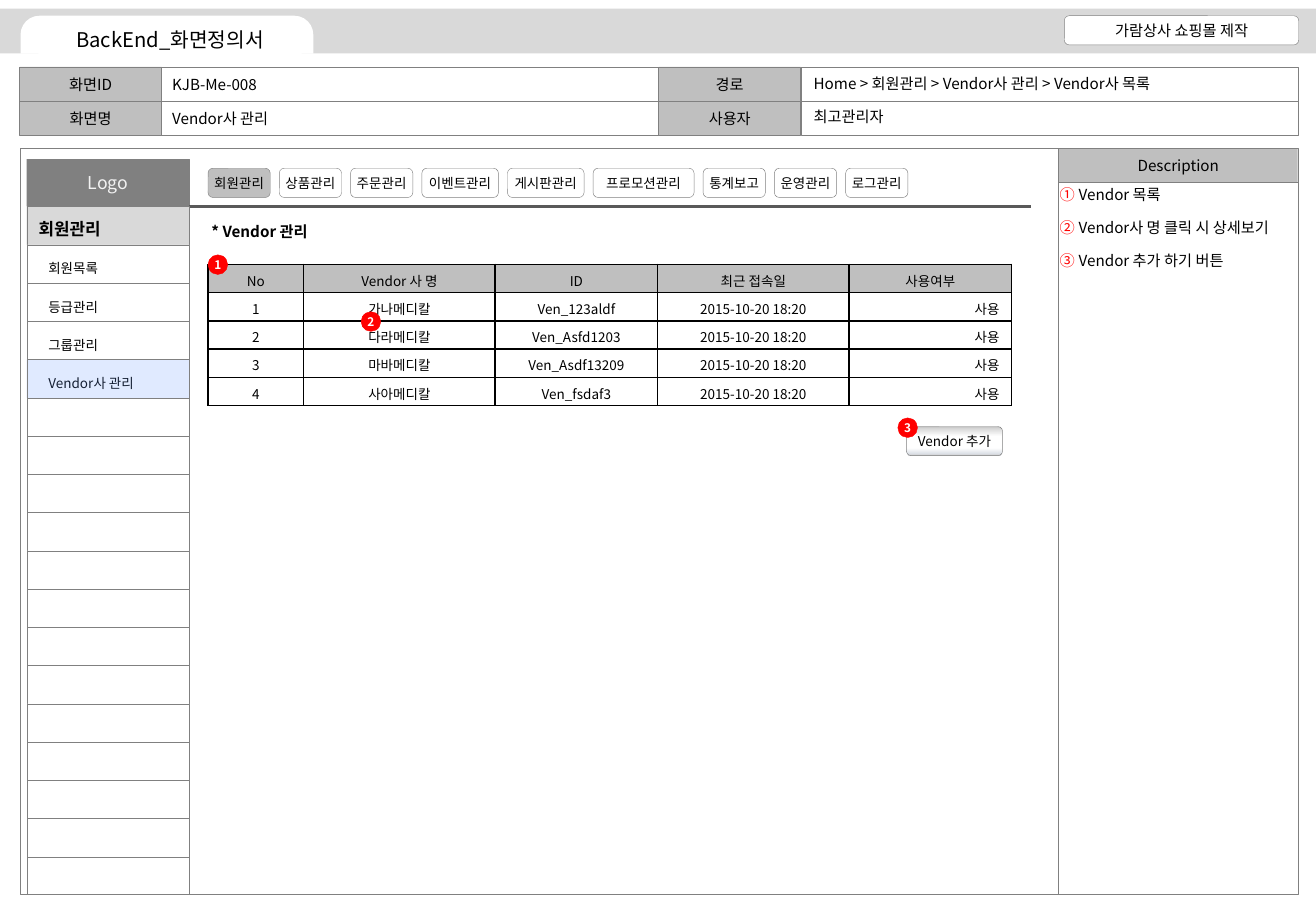
import pptx
import pptx.util
import pptx.dml.color
import pptx.enum.shapes
import pptx.enum.text
import pptx.oxml.ns
import lxml.etree

Cm = pptx.util.Cm
Pt = pptx.util.Pt
RGB = pptx.dml.color.RGBColor
KIND = pptx.enum.shapes.MSO_SHAPE
ALIGN = pptx.enum.text.PP_ALIGN
ANCHOR = pptx.enum.text.MSO_ANCHOR
BLACK = RGB(0x00, 0x00, 0x00)
WHITE = RGB(0xFF, 0xFF, 0xFF)
PALE = RGB(0xF2, 0xF2, 0xF2)
LIGHT = RGB(0xD9, 0xD9, 0xD9)
SILVER = RGB(0xBF, 0xBF, 0xBF)
GREY = RGB(0x80, 0x80, 0x80)
DARK = RGB(0x59, 0x59, 0x59)
RED = RGB(0xFF, 0x00, 0x00)
BLUE = RGB(0x66, 0x99, 0xFF)
GLOSS = [(0, SILVER), (8, LIGHT), (34, WHITE), (74, WHITE),
         (93, RGB(0xDD, 0xE1, 0xE7)), (100, RGB(0xCC, 0xCC, 0xCC))]


def node(base, tag, **attrs):
    """Append a drawing element to base and return it."""
    return lxml.etree.SubElement(base, pptx.oxml.ns.qn("a:" + tag), attrs)


class Screen:
    """Hold the style and the current slide."""

    font = "Noto Sans CJK KR"

    def __init__(self, slide):
        """Keep the slide to draw on."""
        self.slide = slide

    def put(self, para, text, size, color=BLACK, bold=False):
        """Add one styled run to a paragraph."""
        run = para.add_run()
        run.text = text
        run.font.size = Pt(size)
        run.font.bold = bold
        run.font.color.rgb = color
        run.font.name = self.font
        node(run._r.get_or_add_rPr(), "ea", typeface=self.font)

    def shape(self, x, y, w, h, fill=None, line=GREY, kind=KIND.RECTANGLE,
              text="", size=9, color=BLACK, bold=False, tight=False):
        """Draw a preset shape with optional centred text."""
        item = self.slide.shapes.add_shape(kind, Cm(x), Cm(y), Cm(w), Cm(h))
        item.shadow.inherit = False
        if fill is None:
            item.fill.background()
        else:
            item.fill.solid()
            item.fill.fore_color.rgb = fill
        if line is None:
            item.line.fill.background()
        else:
            item.line.color.rgb = line
            item.line.width = Pt(0.25)
        if text:
            frame = item.text_frame
            frame.vertical_anchor = ANCHOR.MIDDLE
            if tight:
                self.trim(frame)
            para = frame.paragraphs[0]
            para.alignment = ALIGN.CENTER
            self.put(para, text, size, color, bold)
        return item

    def trim(self, frame):
        """Remove the margins of a text frame."""
        frame.margin_left = frame.margin_right = 0
        frame.margin_top = frame.margin_bottom = 0

    def button(self, x, y, w, text, fill=None):
        """Draw a rounded button."""
        return self.shape(x, y, w, 0.61, fill, kind=KIND.ROUNDED_RECTANGLE,
                          text=text, size=8, tight=True)

    def gloss(self, item, stops):
        """Give a shape a gradient that runs from top to bottom."""
        item.fill.gradient()
        item.fill.gradient_angle = 270
        group = item._element.spPr.find(".//" + pptx.oxml.ns.qn("a:gsLst"))
        for old in list(group):
            group.remove(old)
        for part, color in stops:
            stop = node(group, "gs", pos=str(part * 1000))
            node(stop, "srgbClr", val=str(color))

    def fade(self, item, part):
        """Make a solid fill see-through."""
        color = item._element.spPr.find(".//" + pptx.oxml.ns.qn("a:srgbClr"))
        node(color, "alpha", val=str(part * 1000))

    def badge(self, x, y, text):
        """Draw a red number mark."""
        self.shape(x, y, 0.41, 0.41, RED, RED, KIND.OVAL, text, 7, WHITE, True, True)

    def label(self, x, y, w, h, text, size=9, bold=False):
        """Add a single line of text."""
        frame = self.slide.shapes.add_textbox(Cm(x), Cm(y), Cm(w), Cm(h)).text_frame
        frame.word_wrap = False
        frame.auto_size = pptx.enum.text.MSO_AUTO_SIZE.SHAPE_TO_FIT_TEXT
        self.put(frame.paragraphs[0], text, size, bold=bold)

    def notes(self, x, y, w, h, lines):
        """Add a list with red circled numbers."""
        frame = self.slide.shapes.add_textbox(Cm(x), Cm(y), Cm(w), Cm(h)).text_frame
        frame.word_wrap = True
        self.trim(frame)
        for i, text in enumerate(lines):
            para = frame.add_paragraph() if i else frame.paragraphs[0]
            para.space_before = Pt(8.6 if i else 0)
            prop = para._p.get_or_add_pPr()
            prop.set("marL", str(Cm(0.4)))
            prop.set("indent", str(Cm(-0.4)))
            node(node(prop, "buClr"), "srgbClr", val=str(RED))
            node(prop, "buAutoNum", type="circleNumDbPlain")
            self.put(para, text, 9)

    def rule(self, x, y, end):
        """Draw a thick level line."""
        line = self.slide.shapes.add_connector(
            pptx.enum.shapes.MSO_CONNECTOR.STRAIGHT, Cm(x), Cm(y), Cm(end), Cm(y))
        line.line.color.rgb = DARK
        line.line.width = Pt(2.25)
        node(line._element.spPr, "effectLst")

    def table(self, x, y, widths, high, rows):
        """Draw a bordered table with a grey head and a right-set last column."""
        grid = self.slide.shapes.add_table(
            len(rows), len(widths), Cm(x), Cm(y),
            Cm(sum(widths)), Cm(high * len(rows))).table
        grid.first_row = grid.horz_banding = False
        for col, width in zip(grid.columns, widths):
            col.width = Cm(width)
        for r, row in enumerate(rows):
            grid.rows[r].height = Cm(high)
            for c, text in enumerate(row):
                cell = grid.cell(r, c)
                cell.margin_bottom = 0
                prop = cell._tc.get_or_add_tcPr()
                for side in ("lnL", "lnR", "lnT", "lnB"):
                    edge = node(prop, side, w=str(Pt(1)))
                    node(node(edge, "solidFill"), "srgbClr", val=str(BLACK))
                if r:
                    cell.fill.background()
                else:
                    cell.fill.solid()
                    cell.fill.fore_color.rgb = SILVER
                para = cell.text_frame.paragraphs[0]
                last = r and c == len(widths) - 1
                para.alignment = ALIGN.RIGHT if last else ALIGN.CENTER
                self.put(para, text, 8)


deck = pptx.Presentation()
deck.slide_width, deck.slide_height = Cm(27.51), Cm(19.05)
page = Screen(deck.slides.add_slide(deck.slide_layouts[6]))

HEAD = [(0.41, 1.4, "화면ID"), (13.77, 1.4, "경로"),
        (0.41, 2.11, "화면명"), (13.77, 2.11, "사용자")]
for x, y, text in HEAD:
    page.shape(x, y, 2.97, 0.72, SILVER, text=text)
    page.shape(x + 2.97, y, 10.39, 0.72)

page.shape(0.43, 3.1, 21.7, 15.6)
page.shape(22.13, 3.1, 5, 0.72, SILVER, text="Description")
page.shape(22.13, 3.82, 5, 14.88)

page.shape(0, 0.18, 27.51, 0.94, LIGHT, None)
tab = page.shape(0.43, 0.33, 6.12, 0.79, WHITE, None, KIND.ROUND_2_SAME_RECTANGLE)
tab.adjustments[0] = 0.5
page.shape(22.25, 0.33, 4.9, 0.61, WHITE, kind=KIND.ROUNDED_RECTANGLE,
           text="가람상사 쇼핑몰 제작")
page.shape(0.76, 0.53, 5.59, 0.61, WHITE, None, KIND.ROUNDED_RECTANGLE,
           "BackEnd_화면정의서", 12)

LEFT, TOP, WIDE, STEP = 0.56, 4.32, 3.4, 0.8
page.shape(LEFT, TOP, WIDE, 14.38)
page.shape(LEFT, 3.33, WIDE, 0.99, GREY, text="Logo", size=10.5, color=PALE)
page.rule(LEFT + WIDE, TOP, 21.56)

TABS = [("회원관리", 1.3), ("상품관리", 1.3), ("주문관리", 1.3),
        ("이벤트관리", 1.6), ("게시판관리", 1.6), ("프로모션관리", 2.11),
        ("통계보고", 1.3), ("운영관리", 1.3), ("로그관리", 1.3)]
x = 4.35
for i, (text, width) in enumerate(TABS):
    page.button(x, 3.52, width, text, None if i else SILVER)
    x += width + 0.19

for i in range(17):
    page.shape(LEFT, TOP + i * STEP, WIDE, STEP, WHITE if i else LIGHT)
page.label(LEFT, 4.44, 1.93, 0.69, "회원관리", 10, True)
MENU = [("회원목록", 1.65), ("등급관리", 1.65), ("그룹관리", 1.65), ("Vendor사 관리", 2.41)]
for i, (text, width) in enumerate(MENU, 1):
    page.label(0.76, TOP + i * STEP + 0.2, width, 0.61, text, 8)
page.fade(page.shape(LEFT, TOP + 4 * STEP, WIDE, STEP, BLUE), 20)

names = [("가나메디칼", "Ven_123aldf"), ("다라메디칼", "Ven_Asfd1203"),
         ("마바메디칼", "Ven_Asdf13209"), ("사아메디칼", "Ven_fsdaf3")]
rows = [("No", "Vendor 사 명", "ID", "최근 접속일", "사용여부")]
rows += [(str(i), name, code, "2015-10-20 18:20", "사용")
         for i, (name, code) in enumerate(names, 1)]
page.table(4.35, 5.53, [2, 4, 3.4, 4, 3.4], 0.59, rows)
page.label(4.17, 4.52, 2.64, 0.64, "* Vendor 관리", bold=True)
page.gloss(page.button(18.95, 8.92, 2.01, "Vendor 추가"), GLOSS)

page.label(3.35, 1.45, 2.29, 0.64, "KJB-Me-008")
page.label(16.76, 1.42, 8.59, 0.64, "Home > 회원관리 > Vendor사 관리 > Vendor사 목록")
page.label(3.35, 2.16, 2.64, 0.64, "Vendor사 관리")
page.label(16.76, 2.13, 2.18, 0.64, "최고관리자")

for i, (x, y) in enumerate([(4.35, 5.33), (7.55, 6.52), (18.77, 8.74)], 1):
    page.badge(x, y, str(i))
page.notes(22.15, 3.88, 5, 14.8,
           ["Vendor 목록", "Vendor사 명 클릭 시 상세보기", "Vendor 추가 하기 버튼"])

deck.save("out.pptx")
